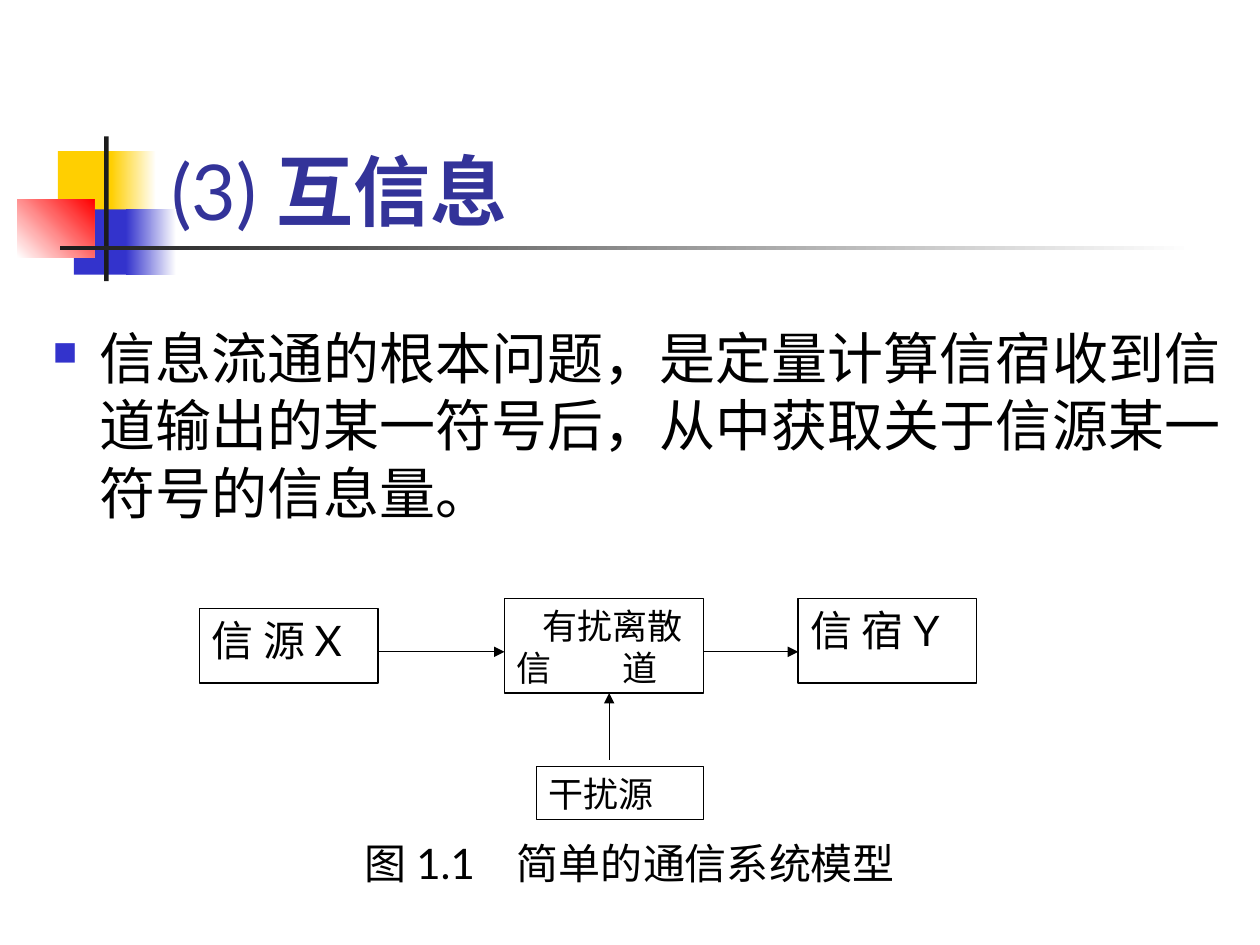
import pptx
import pptx.dml.color
import pptx.enum.shapes
import pptx.enum.text
import pptx.oxml
import pptx.oxml.ns
import pptx.util
from pptx.util import Cm

COLORS = {
    "gold": "FFCF01", "blue": "3333CC", "red": "FF0000", "ink": "1C1C1C",
    "title": "333399", "text": "000000", "paper": "FFFFFF",
}
SERIF = "Times New Roman"
SANS = "Lato"
ALIGN = pptx.enum.text.PP_ALIGN
ANCHOR = pptx.enum.text.MSO_ANCHOR


def color(name):
    """Return the named colour."""
    return pptx.dml.color.RGBColor.from_string(COLORS[name])


def add_xml(parent, markup):
    """Append a DrawingML element to its parent."""
    tag, _, rest = markup.partition(" ")
    ns = pptx.oxml.ns.nsdecls("a")
    parent.append(pptx.oxml.parse_xml(f"<a:{tag} {ns} {rest}"))


def write(paragraph, *pieces, size, ink="text", align=ALIGN.LEFT):
    """Write (text, font, bold) pieces into a paragraph."""
    paragraph.alignment = align
    for text, font, bold in pieces:
        run = paragraph.add_run()
        run.text = text
        run.font.name = font
        run.font.size = pptx.util.Pt(size)
        run.font.bold = bold
        run.font.color.rgb = color(ink)


def prepare(frame, anchor=ANCHOR.TOP):
    """Make a text frame wrap without resizing and return its first paragraph."""
    frame.word_wrap = True
    frame.auto_size = pptx.enum.text.MSO_AUTO_SIZE.NONE
    frame.vertical_anchor = anchor
    return frame.paragraphs[0]


def add_block(slide, left, top, width, height, fill, fade_to=None, angle=0):
    """Add a rectangle without outline, solid or fading to a second colour."""
    block = slide.shapes.add_shape(
        pptx.enum.shapes.MSO_SHAPE.RECTANGLE, Cm(left), Cm(top), Cm(width), Cm(height))
    block.shadow.inherit = False
    block.line.fill.background()
    if fade_to is None:
        block.fill.solid()
        block.fill.fore_color.rgb = color(fill)
    else:
        block.fill.gradient()
        block.fill.gradient_angle = angle
        for stop, name in zip(block.fill.gradient_stops, (fill, fade_to)):
            stop.color.rgb = color(name)
    return block


def add_box(slide, left, top, width, height):
    """Add a white outlined box and return its text frame."""
    box = add_block(slide, left, top, width, height, "paper")
    box.line.fill.solid()
    box.line.fill.fore_color.rgb = color("text")
    box.line.width = pptx.util.Pt(0.75)
    return box.text_frame


def add_arrow(slide, x1, y1, x2, y2):
    """Add a thin arrow with its head at the second point."""
    arrow = slide.shapes.add_connector(
        pptx.enum.shapes.MSO_CONNECTOR.STRAIGHT, Cm(x1), Cm(y1), Cm(x2), Cm(y2))
    arrow.line.color.rgb = color("text")
    arrow.line.width = pptx.util.Pt(0.75)
    add_xml(arrow.line._get_or_add_ln(), 'tailEnd type="triangle"/>')
    add_xml(arrow._element.spPr, "effectLst />")


def add_ornament(slide, left, top):
    """Draw the coloured squares and crossing bars beside the title."""
    blocks = [
        (0.82, 0.3, 1.22, 1.32, "gold"),
        (1.89, 0.3, 0.91, 1.32, "gold", "paper"),
        (1.14, 1.47, 1.17, 1.32, "blue"),
        (2.19, 1.47, 1.01, 1.32, "blue", "paper"),
        (0, 1.27, 1.55, 1.17, "paper", "red", 45),
        (1.75, 0, 0.09, 2.92, "ink"),
        (0.86, 2.2, 22.86, 0.09, "ink", "paper"),
    ]
    for x, y, *rest in blocks:
        add_block(slide, left + x, top + y, *rest)


def add_title(slide, left, top, width, height):
    """Place and format the title placeholder."""
    title = slide.shapes.title
    title.left, title.top, title.width, title.height = map(Cm, (left, top, width, height))
    heading = prepare(title.text_frame, ANCHOR.BOTTOM)
    write(heading, ("(3) ", SANS, False), ("互信息", SERIF, True), size=44, ink="title")


def add_statement(slide, left, top, width, height):
    """Write the bulleted statement."""
    area = slide.shapes.add_textbox(Cm(left), Cm(top), Cm(width), Cm(height))
    statement = prepare(area.text_frame)
    properties = statement._p.get_or_add_pPr()
    properties.set("marL", str(Cm(0.95)))
    properties.set("indent", str(Cm(-0.95)))
    add_xml(properties, f'buClr ><a:srgbClr val="{COLORS["blue"]}"/></a:buClr>')
    add_xml(properties, 'buSzPct val="60000"/>')
    add_xml(properties, 'buChar char="■"/>')
    write(statement, (
        "信息流通的根本问题，是定量计算信宿收到信道输出的某一符号后，从中获取关于信源某一符号的信息量。",
        SERIF, False), size=32)


def add_model(slide, left, top):
    """Draw the source, channel, sink and noise boxes with their arrows."""
    ends = [("信 源 ", "X", 0, 0.2, 1.5), ("信 宿 ", "Y", 12.07, 0, 1.7)]
    for label, symbol, x, y, height in ends:
        end = prepare(add_box(slide, left + x, top + y, 3.6, height))
        write(end, (label, SERIF, False), (symbol, SANS, False), size=24)

    channel = add_box(slide, left + 6.15, top, 4.02, 1.9)
    upper = prepare(channel)
    upper._p.get_or_add_pPr().set("indent", str(Cm(0.51)))
    write(upper, ("有扰离散", SERIF, False), size=20)
    lower = channel.add_paragraph()
    add_xml(lower._p.get_or_add_pPr(),
            f'tabLst ><a:tab pos="{Cm(2.13)}" algn="l"/></a:tabLst>')
    write(lower, ("信\t道", SERIF, False), size=20)

    noise = prepare(add_box(slide, left + 6.79, top + 3.38, 3.38, 1.07))
    write(noise, ("干扰源", SERIF, False), size=20)

    for x1, y1, x2, y2 in [(3.6, 1.07, 6.15, 1.07), (10.17, 1.07, 12.07, 1.07),
                           (8.26, 3.25, 8.26, 1.9)]:
        add_arrow(slide, left + x1, top + y1, left + x2, top + y2)


def add_caption(slide, left, top, width, height):
    """Write the centred figure caption."""
    area = slide.shapes.add_textbox(Cm(left), Cm(top), Cm(width), Cm(height))
    write(prepare(area.text_frame), ("图 ", SERIF, False), ("1.1　", SANS, False),
          ("简单的通信系统模型", SERIF, False), size=24, align=ALIGN.CENTER)


def main():
    """Build and save the slide."""
    deck = pptx.Presentation()
    deck.slide_width, deck.slide_height = Cm(25.4), Cm(19.05)
    slide = deck.slides.add_slide(deck.slide_layouts[5])
    add_ornament(slide, 0.35, 2.75)
    add_title(slide, 3.2, 1.7, 21.64, 3.18)
    add_statement(slide, 0.81, 6.4, 24.5, 4.6)
    add_model(slide, 4.02, 12.07)
    add_caption(slide, 0, 16.76, 25.4, 2.2)
    deck.save("out.pptx")


if __name__ == "__main__":
    main()
